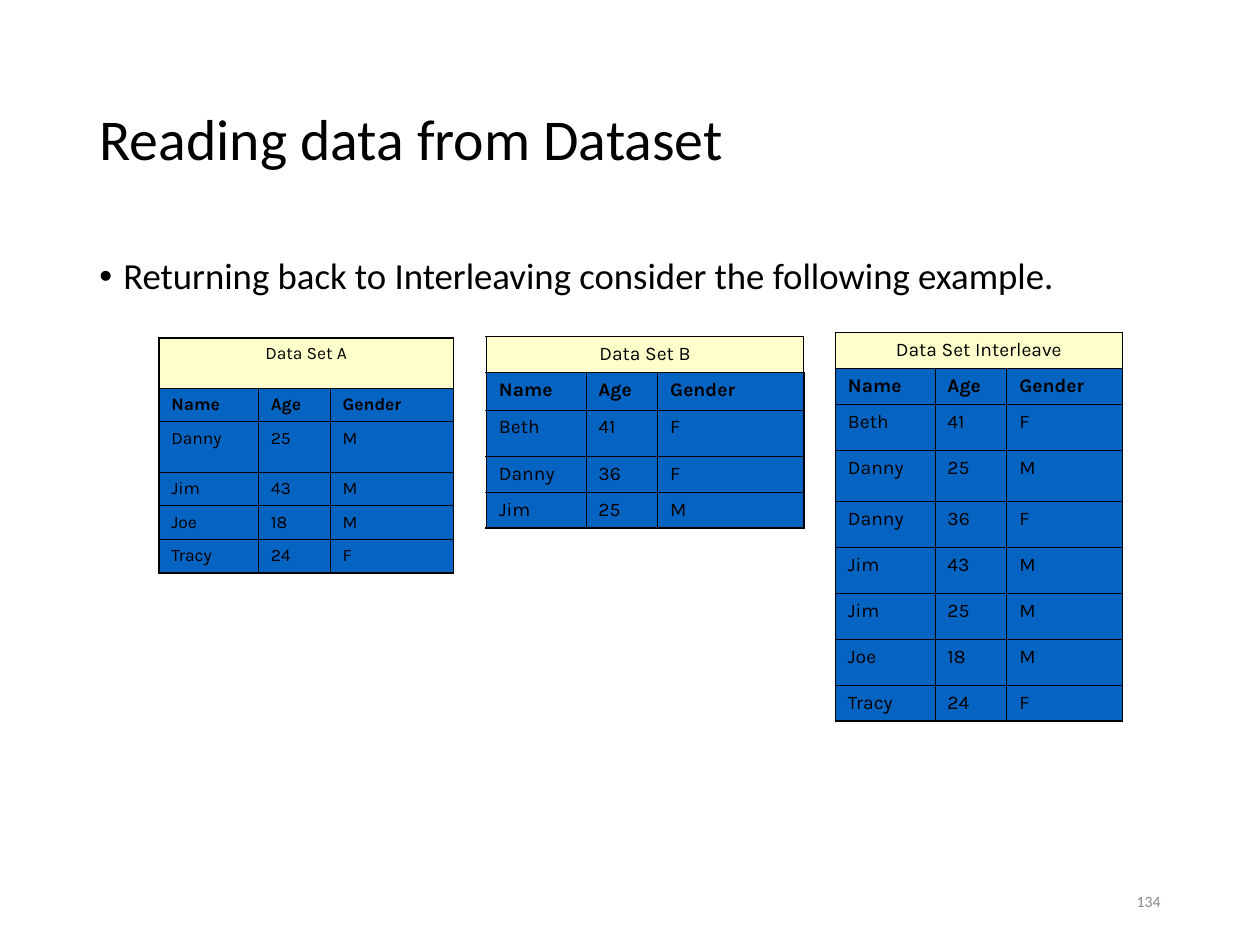
from dataclasses import dataclass

from lxml.etree import SubElement
from pptx import Presentation
from pptx.dml.color import RGBColor
from pptx.enum.text import MSO_ANCHOR as Anchor, PP_ALIGN as Align
from pptx.oxml.ns import qn
from pptx.util import Inches, Pt

# The grid has square cells
COLUMNS, ROWS = 100, 75
HEADINGS = ("Name", "Age", "Gender")


@dataclass(frozen=True)
class Theme:
    text: str = "000000"
    muted: str = "898989"
    caption_fill: str = "FFFFCC"
    cell_fill: str = "0563C1"
    body_font: str = "Calibri"
    table_font: str = "Karla"
    title_size: int = 33
    body_size: int = 21
    number_size: int = 9
    thin: float = 0.45
    thick: float = 1.08


class SlideBuilder:
    def __init__(self, presentation, theme):
        self.theme = theme
        self.slide = presentation.slides.add_slide(presentation.slide_layouts[5])
        self.unit_x = presentation.slide_width / COLUMNS
        self.unit_y = presentation.slide_height / ROWS

    def x(self, columns):
        return round(columns * self.unit_x)

    def y(self, rows):
        return round(rows * self.unit_y)

    def box(self, left, top, width, height):
        return self.x(left), self.y(top), self.x(width), self.y(height)

    def set_text(self, text_frame, text, size, font=None, color=None, bold=False,
                 align=Align.LEFT, spacing=None):
        text_frame.text = text
        paragraph = text_frame.paragraphs[0]
        paragraph.alignment = align
        paragraph.line_spacing = spacing
        for run in paragraph.runs:
            run.font.name = font or self.theme.body_font
            run.font.size = Pt(size)
            run.font.bold = bold
            run.font.color.rgb = RGBColor.from_string(color or self.theme.text)
        return paragraph

    def title(self, text, *place):
        shape = self.slide.shapes.title
        shape.left, shape.top, shape.width, shape.height = self.box(*place)
        shape.text_frame.vertical_anchor = Anchor.MIDDLE
        self.set_text(shape.text_frame, text, self.theme.title_size, spacing=0.9)

    def text(self, text, size, *place, anchor=Anchor.TOP, **style):
        shape = self.slide.shapes.add_textbox(*self.box(*place))
        shape.text_frame.word_wrap = True
        shape.text_frame.vertical_anchor = anchor
        return self.set_text(shape.text_frame, text, size, **style)

    def bullet(self, text, *place):
        paragraph = self.text(text, self.theme.body_size, *place, spacing=0.9)
        properties = paragraph._p.get_or_add_pPr()
        properties.set("marL", str(Inches(0.19)))
        properties.set("indent", str(-Inches(0.19)))
        SubElement(properties, qn("a:buFont"), typeface="Arial")
        SubElement(properties, qn("a:buChar"), char="•")

    def borders(self, cell, widths):
        properties = cell._tc.get_or_add_tcPr()
        for side, width in zip("LRTB", widths):
            line = SubElement(properties, qn(f"a:ln{side}"), w=str(Pt(width)))
            fill = SubElement(line, qn("a:solidFill"))
            SubElement(fill, qn("a:srgbClr"), val=self.theme.text)

    def table(self, caption, records, left, top, widths, heights, size):
        theme = self.theme
        rows = [(caption, "", ""), HEADINGS, *records]
        place = self.box(left, top, sum(widths), sum(heights))
        table = self.slide.shapes.add_table(len(rows), len(widths), *place).table
        table.first_row = table.horz_banding = False
        for column, width in zip(table.columns, widths):
            column.width = self.x(width)
        for row, height in zip(table.rows, heights):
            row.height = self.y(height)

        last_row, last_column = len(rows) - 1, len(widths) - 1
        for r, values in enumerate(rows):
            for c, value in enumerate(values):
                cell = table.cell(r, c)
                # Thick lines only around the outside
                edges = (c == 0, c == last_column, r == 0, r == last_row)
                self.borders(cell, [theme.thick if edge else theme.thin for edge in edges])
                cell.fill.solid()
                fill = theme.cell_fill if r else theme.caption_fill
                cell.fill.fore_color.rgb = RGBColor.from_string(fill)
                self.set_text(cell.text_frame, value, size, theme.table_font,
                              bold=r == 1, align=Align.LEFT if r else Align.CENTER)
        table.cell(0, 0).merge(table.cell(0, last_column))


def main():
    presentation = Presentation()
    presentation.slide_width, presentation.slide_height = Inches(10), Inches(7.5)
    theme = Theme()
    builder = SlideBuilder(presentation, theme)

    # Title and introduction
    builder.title("Reading data from Dataset", 6.9, 4, 86.3, 14.5)
    builder.bullet("Returning back to Interleaving consider the following example.",
                   6.9, 20, 86.3, 47.6)

    # Slide number
    builder.text("134", theme.number_size, 70.6, 69.5, 22.5, 4, anchor=Anchor.MIDDLE,
                 color=theme.muted, align=Align.RIGHT)

    # Two source tables, and their records interleaved by name
    set_a = [("Danny", "25", "M"), ("Jim", "43", "M"),
             ("Joe", "18", "M"), ("Tracy", "24", "F")]
    set_b = [("Beth", "41", "F"), ("Danny", "36", "F"), ("Jim", "25", "M")]
    interleaved = sorted(set_a + set_b, key=lambda record: record[0])

    builder.table("Data Set A", set_a, 12.6, 26.8, (7.9, 5.7, 9.8),
                  (4, 2.67, 4, 2.67, 2.67, 2.67), 10)
    builder.table("Data Set B", set_b, 38.6, 26.7, (7.9, 5.7, 11.6),
                  (2.84, 3, 3.7, 2.84, 2.84), 11)
    builder.table("Data Set Interleave", interleaved, 66.3, 26.4, (7.9, 5.7, 9.2),
                  (2.84, 2.84, 3.7, 4, *[3.66] * 4, 2.84), 11)

    presentation.save("out.pptx")


if __name__ == "__main__":
    main()
